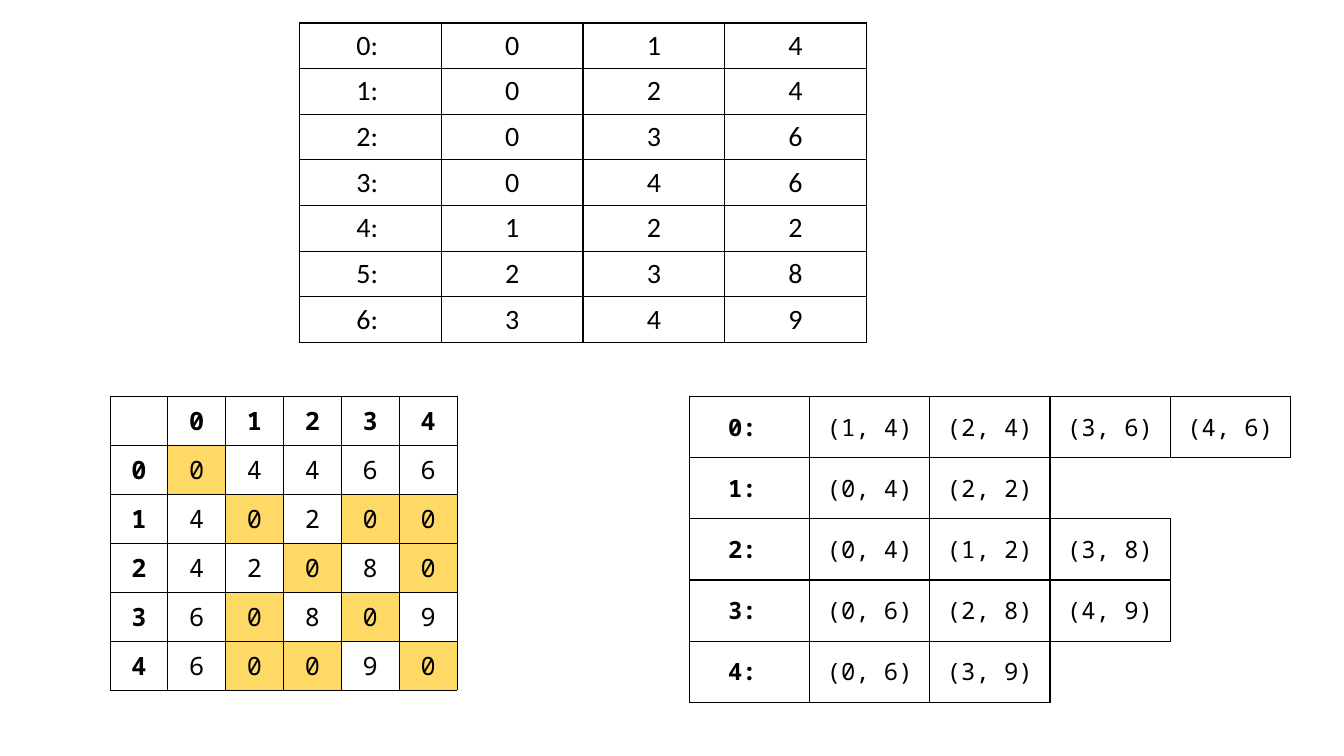
from dataclasses import dataclass
from typing import Optional

from lxml.etree import SubElement
from pptx import Presentation
from pptx.dml.color import RGBColor
from pptx.enum.text import MSO_ANCHOR as Anchor, PP_ALIGN as Align
from pptx.oxml.ns import qn
from pptx.util import Pt


@dataclass(frozen=True)
class Theme:
    ink: str = "000000"
    paper: str = "FFFFFF"
    highlight: str = "FFD966"
    mono: str = "Noto Sans Mono"
    sans: str = "Calibri"
    edge_size: float = 20
    matrix_size: float = 18
    list_size: float = 17


@dataclass(frozen=True)
class Entry:
    text: str
    bold: bool = False
    fill: str = "FFFFFF"


Rows = list[list[Optional[Entry]]]  # None marks a place with no cell


@dataclass(frozen=True)
class Grid:
    rows: Rows
    left: float
    top: float
    column_width: float
    row_height: float
    font: str
    size: float
    border: float
    margin_x: float = 7.2
    margin_y: float = 3.6


THEME = Theme()
# Weighted graph: start, end, weight
EDGES = [(0, 1, 4), (0, 2, 4), (0, 3, 6), (0, 4, 6), (1, 2, 2), (2, 3, 8), (3, 4, 9)]
NODES = range(5)
WEIGHTS = {pair: weight for a, b, weight in EDGES for pair in ((a, b), (b, a))}
# Each label ends in a no-break space
LABEL = "{}: "


def edge_rows() -> Rows:
    return [[Entry(LABEL.format(index))] + [Entry(str(value)) for value in edge]
            for index, edge in enumerate(EDGES)]


def matrix_rows() -> Rows:
    rows: Rows = [[Entry("")] + [Entry(str(node), bold=True) for node in NODES]]
    for start in NODES:
        weights = [WEIGHTS.get((start, end), 0) for end in NODES]
        rows.append([Entry(str(start), bold=True)] + [
            Entry(str(weight), fill=THEME.paper if weight else THEME.highlight)
            for weight in weights])
    return rows


def adjacency_rows() -> Rows:
    rows: Rows = []
    for start in NODES:
        row: list[Optional[Entry]] = [Entry(LABEL.format(start), bold=True)]
        row += [Entry(f"({end}, {WEIGHTS[start, end]})")
                for end in NODES if (start, end) in WEIGHTS]
        rows.append(row + [None] * (len(NODES) - len(row)))
    return rows


def has_entry(rows: Rows, row: int, column: int) -> bool:
    return (0 <= row < len(rows) and 0 <= column < len(rows[row])
            and rows[row][column] is not None)


def draw_borders(cell, grid: Grid, row: int, column: int) -> None:
    """Rule each side that touches an entry; leave the others clear."""
    properties = cell._tc.get_or_add_tcPr()
    sides = {"a:lnL": (0, -1), "a:lnR": (0, 1), "a:lnT": (-1, 0), "a:lnB": (1, 0)}
    for tag, (down, across) in sides.items():
        line = SubElement(properties, qn(tag), w=str(Pt(grid.border)))
        if (has_entry(grid.rows, row, column)
                or has_entry(grid.rows, row + down, column + across)):
            fill = SubElement(line, qn("a:solidFill"))
            SubElement(fill, qn("a:srgbClr"), val=THEME.ink)
        else:
            SubElement(line, qn("a:noFill"))


def fill_cell(cell, entry: Entry, grid: Grid) -> None:
    cell.fill.solid()
    cell.fill.fore_color.rgb = RGBColor.from_string(entry.fill)
    para = cell.text_frame.paragraphs[0]
    para.text = entry.text
    para.alignment = Align.CENTER
    font = para.font
    font.name, font.size, font.bold = grid.font, Pt(grid.size), entry.bold
    font.color.rgb = RGBColor.from_string(THEME.ink)


def draw_grid(page, grid: Grid) -> None:
    row_count, column_count = len(grid.rows), len(grid.rows[0])
    table = page.shapes.add_table(
        row_count, column_count, Pt(grid.left), Pt(grid.top),
        Pt(grid.column_width * column_count), Pt(grid.row_height * row_count)).table
    table.first_row = table.horz_banding = False
    for column in table.columns:
        column.width = Pt(grid.column_width)
    for row in table.rows:
        row.height = Pt(grid.row_height)
    for row_index, entries in enumerate(grid.rows):
        for column_index, entry in enumerate(entries):
            cell = table.cell(row_index, column_index)
            cell.vertical_anchor = Anchor.MIDDLE
            cell.margin_left = cell.margin_right = Pt(grid.margin_x)
            cell.margin_top = cell.margin_bottom = Pt(grid.margin_y)
            draw_borders(cell, grid, row_index, column_index)
            if entry is None:
                cell.fill.background()
            else:
                fill_cell(cell, entry, grid)


def main() -> None:
    deck = Presentation()
    deck.slide_width, deck.slide_height = Pt(960), Pt(540)
    page = deck.slides.add_slide(deck.slide_layouts[6])
    grids = [
        # Adjacency matrix
        Grid(matrix_rows(), 78.5, 283, 41.33, 35, THEME.mono, THEME.matrix_size, 0.5),
        # Adjacency list
        Grid(adjacency_rows(), 492.5, 283, 85.85, 43.75, THEME.mono, THEME.list_size, 1),
        # Edge list
        Grid(edge_rows(), 214, 16.4, 101.25, 32.6, THEME.sans, THEME.edge_size, 1,
             margin_x=5, margin_y=2.5),
    ]
    for grid in grids:
        draw_grid(page, grid)
    deck.save("out.pptx")


if __name__ == "__main__":
    main()
